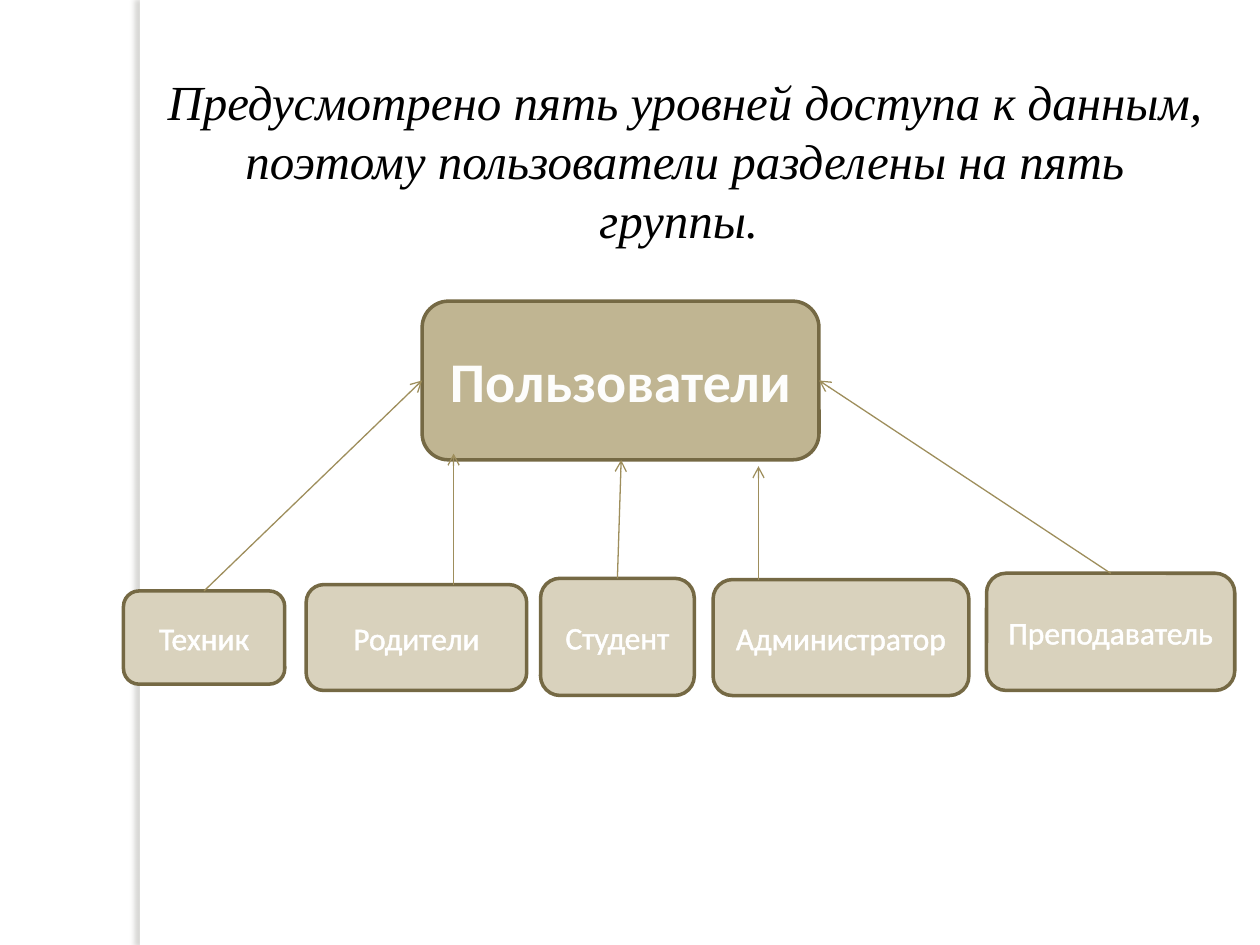
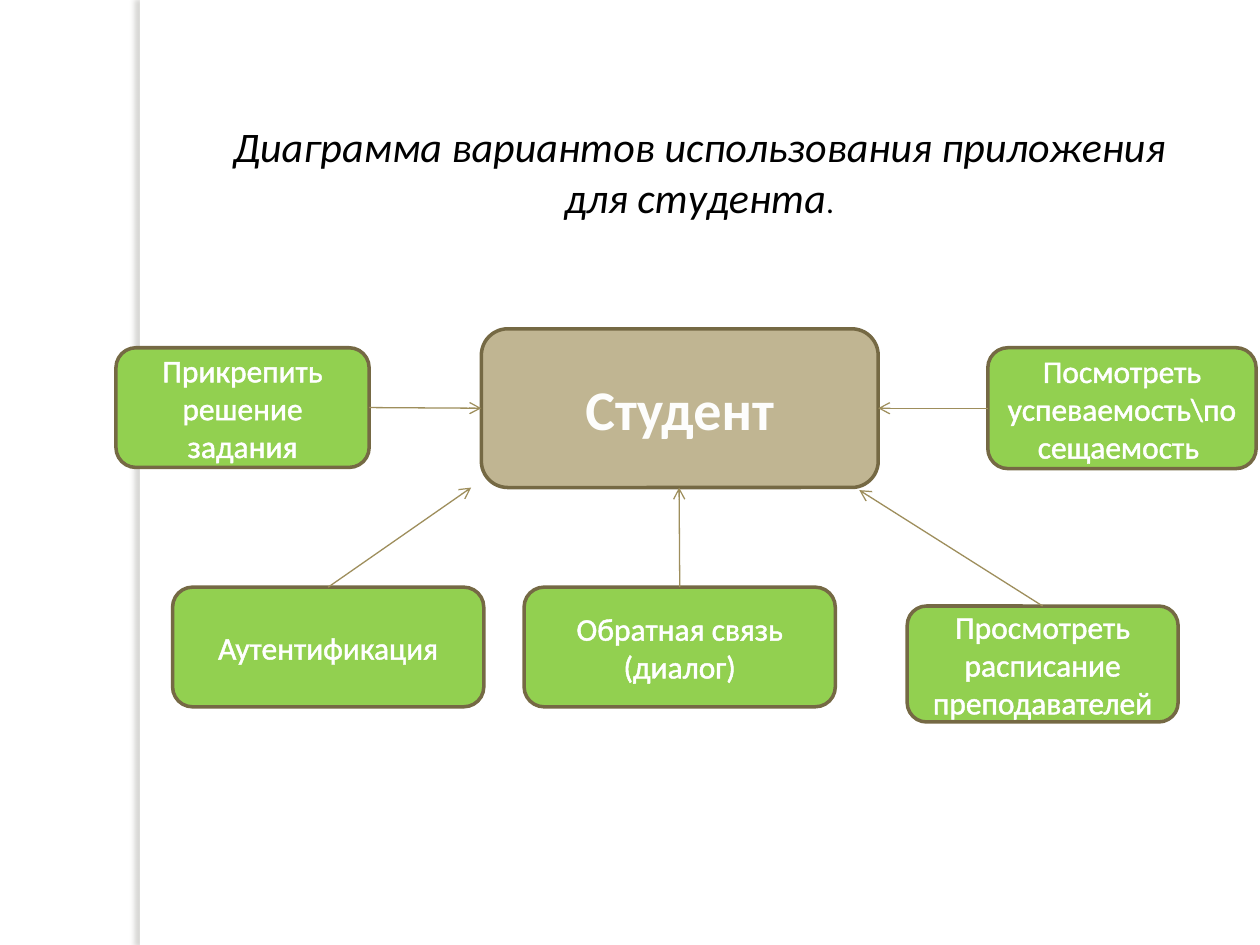
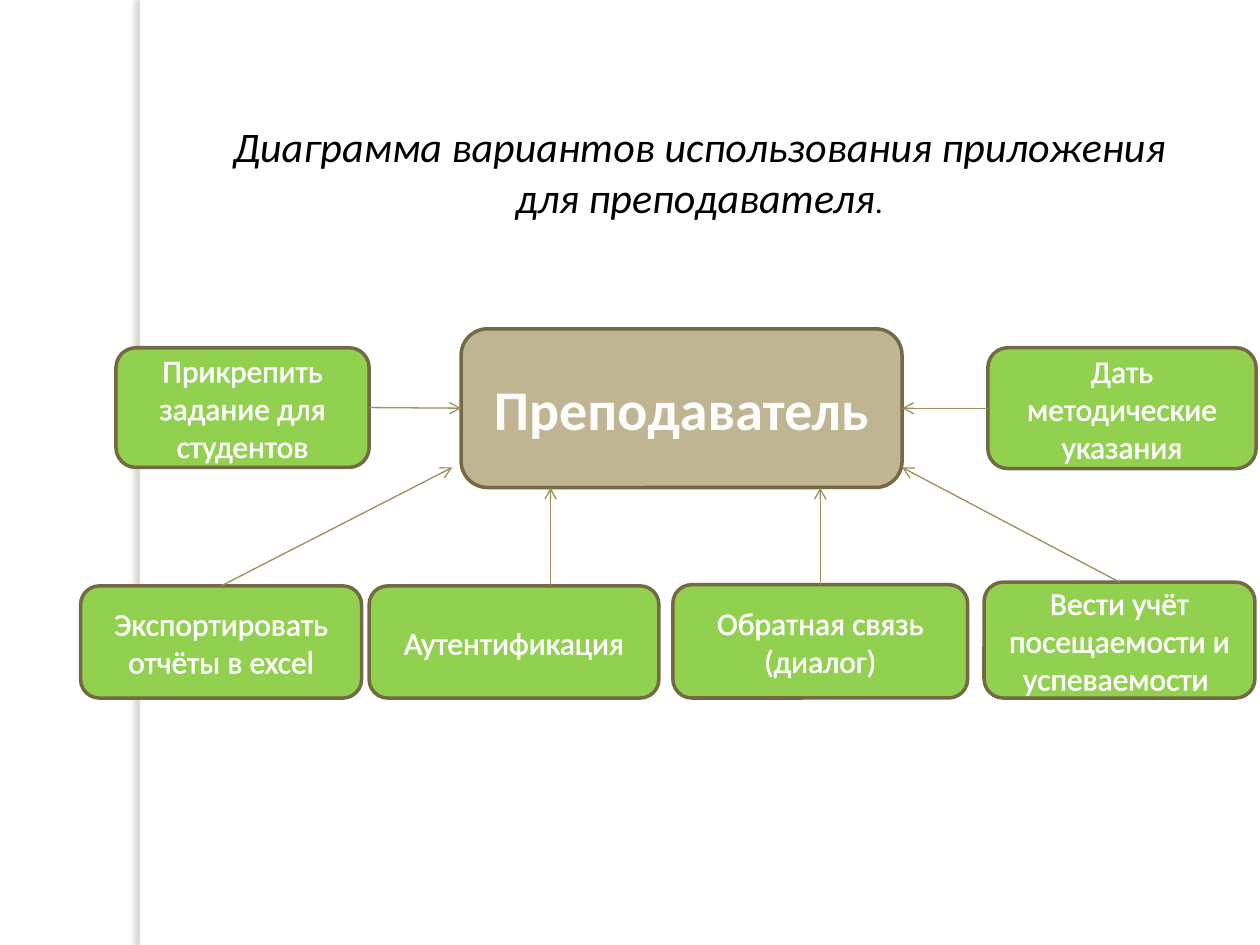
"""Builds three slides on the user groups of a learning system and their use cases."""
from dataclasses import dataclass

from lxml.etree import SubElement
from pptx import Presentation
from pptx.dml.color import RGBColor
from pptx.enum.shapes import MSO_CONNECTOR, MSO_SHAPE, PP_PLACEHOLDER
from pptx.enum.text import MSO_ANCHOR, MSO_AUTO_SIZE, PP_ALIGN
from pptx.oxml.ns import qn
from pptx.util import Emu, Pt

EMU_PER_PX = 9144
COLORS = {
    "white": "FFFFFF",
    "black": "000000",
    "hub": "C0B592",
    "hub_text": "FDFDFC",
    "hub_outline": "BC9D3E",
    "group": "D9D2BD",
    "action": "92D050",
    "border": "756944",
    "arrow": "9E8E5C",
    "shadow": "68665B",
}
SITES = {"top": 0, "left": 1, "right": 3}


@dataclass
class Node:
    """A satellite box and the tip of its arrow; shift moves the arrow off centre."""
    text: str
    place: tuple
    side: str
    tip: tuple
    shift: int = 0


GROUPS = [
    Node("Студент", (429, 459, 122, 93), "top", (493, 365)),
    Node("Преподаватель", (783, 455, 197, 93), "top", (650, 302)),
    Node("Родители", (243, 464, 175, 84), "top", (360, 360), 30),
    Node("Администратор", (566, 460, 203, 92), "top", (602, 370), -65),
    Node("Техник", (98, 469, 128, 74), "top", (335, 302)),
]
STUDENT_ACTIONS = [
    Node("Аутентификация", (137, 466, 247, 95), "top", (374, 387)),
    Node("Посмотреть успеваемость\\посещаемость ", (784, 276, 213, 96), "left", (697, 324)),
    Node("Просмотреть расписание преподавателей", (720, 481, 215, 92), "top", (682, 389)),
    Node("Прикрепить решение задания", (92, 276, 201, 95), "right", (382, 324)),
    Node("Обратная связь (диалог)", (416, 466, 247, 95), "top", (539, 387)),
]
TEACHER_ACTIONS = [
    Node("Аутентификация", (293, 465, 230, 89), "top", (437, 387), 29),
    Node("Дать методические указания", (784, 276, 213, 96), "left", (716, 324)),
    Node("Вести учёт посещаемости и успеваемости ", (781, 462, 215, 92), "top", (716, 371)),
    Node("Прикрепить задание для студентов", (92, 276, 201, 95), "right", (366, 324)),
    Node("Обратная связь (диалог)", (534, 464, 234, 90), "top", (651, 387)),
    Node("Экспортировать отчёты в excel", (64, 465, 223, 89), "top", (359, 371)),
]


def px(*lengths):
    """Turns px into a list of EMU lengths."""
    return [Emu(length * EMU_PER_PX) for length in lengths]


def color(name):
    """Looks up a colour of the deck."""
    return RGBColor.from_string(COLORS[name])


def format_span(span, size, color_name, font="Calibri", bold=False, italic=False):
    """Sets the font of one run."""
    span.font.name = font
    span.font.size = Pt(size)
    span.font.bold = bold
    span.font.italic = italic
    span.font.color.rgb = color(color_name)


def add_color(parent, name, alpha):
    """Adds a colour with an opacity in percent to an XML element."""
    value = SubElement(parent, qn("a:srgbClr"), val=COLORS[name])
    SubElement(value, qn("a:alpha"), val=str(alpha * 1000))


def outline_span(span, color_name, width, alpha=100):
    """Draws a line around the letters of a run."""
    properties = span.font._element
    line = SubElement(properties, qn("a:ln"), w=str(Pt(width)))
    add_color(SubElement(line, qn("a:solidFill")), color_name, alpha)
    properties.insert(0, line)


def clear_footers(layout):
    """Leaves only the title on the layout."""
    for holder in list(layout.placeholders):
        if holder.placeholder_format.type != PP_PLACEHOLDER.TITLE:
            holder.element.getparent().remove(holder.element)


def add_band(slide, layout):
    """Puts the shaded vertical edge on the layout, behind everything."""
    band = slide.shapes.add_shape(MSO_SHAPE.RECTANGLE, *px(111, 0, 8, 750))
    band.fill.solid()
    band.fill.fore_color.rgb = color("white")
    band.line.fill.background()
    band.shadow.inherit = False
    effects = band.element.spPr.find(qn("a:effectLst"))
    shadow = SubElement(effects, qn("a:outerShdw"), blurRad=str(Pt(3)),
                        dist=str(Pt(3)), dir="10800000", rotWithShape="0")
    add_color(shadow, "shadow", 25)
    layout.shapes.element.insert(2, band.element)


def set_title(slide, text, place, size, font="Calibri", ending=""):
    """Moves and formats the title; the ending is small and upright."""
    title = slide.shapes.title
    title.left, title.top, title.width, title.height = px(*place)
    frame = title.text_frame
    frame.text = text
    frame.word_wrap = True
    frame.auto_size = MSO_AUTO_SIZE.SHAPE_TO_FIT_TEXT
    frame.vertical_anchor = MSO_ANCHOR.TOP
    para = frame.paragraphs[0]
    para.alignment = PP_ALIGN.CENTER
    format_span(para.runs[0], size, "black", font, italic=True)
    if ending:
        span = para.add_run()
        span.text = ending
        format_span(span, 18, "black", font)


def add_box(slide, text, place, fill):
    """Adds a rounded box with centred text and returns it with its run."""
    box = slide.shapes.add_shape(MSO_SHAPE.ROUNDED_RECTANGLE, *px(*place))
    box.shadow.inherit = False
    box.fill.solid()
    box.fill.fore_color.rgb = color(fill)
    box.line.color.rgb = color("border")
    box.line.width = Pt(2)
    frame = box.text_frame
    frame.text = text
    frame.word_wrap = True
    frame.vertical_anchor = MSO_ANCHOR.MIDDLE
    para = frame.paragraphs[0]
    para.alignment = PP_ALIGN.CENTER
    return box, para.runs[0]


def add_hub(slide, text, place):
    """Adds the central box."""
    span = add_box(slide, text, place, "hub")[1]
    format_span(span, 32, "hub_text", bold=True)
    outline_span(span, "hub_outline", 0.07, 55)


def add_arrow(slide, box, node):
    """Draws an arrow from one side of a box to the tip of its node."""
    left, top, width, height = node.place
    starts = {
        "top": (left + width // 2 + node.shift, top),
        "left": (left, top + height // 2),
        "right": (left + width, top + height // 2),
    }
    arrow = slide.shapes.add_connector(
        MSO_CONNECTOR.STRAIGHT, *px(*starts[node.side], *node.tip))
    if not node.shift:
        arrow.begin_connect(box, SITES[node.side])
    arrow.line.color.rgb = color("arrow")
    arrow.line.width = Pt(0.75)
    SubElement(arrow.line._get_or_add_ln(), qn("a:tailEnd"), type="arrow")
    SubElement(arrow.element.spPr, qn("a:effectLst"))


def add_nodes(slide, nodes, fill):
    """Adds the satellite boxes with their arrows."""
    for node in nodes:
        box, span = add_box(slide, node.text, node.place, fill)
        format_span(span, 18, "white")
        outline_span(span, "white", 1.45)
        add_arrow(slide, box, node)


def add_use_cases(slide, whom, hub, hub_place, actions):
    """Fills a use case slide for one kind of user."""
    set_title(slide, f"Диаграмма вариантов использования приложения для {whom}",
              (153, 91, 804, 91), 24, ending=".")
    add_hub(slide, hub, hub_place)
    add_nodes(slide, actions, "action")


def main():
    """Builds and saves the deck."""
    deck = Presentation()
    deck.slide_width, deck.slide_height = px(1000, 750)
    layout = deck.slide_layouts.get_by_name("Title Only")
    clear_footers(layout)
    groups, student, teacher = [deck.slides.add_slide(layout) for _ in range(3)]
    add_band(groups, layout)

    set_title(groups, "Предусмотрено пять уровней доступа к данным, "
              "поэтому пользователи разделены на пять группы. ",
              (122, 52, 843, 151), 28, "Times New Roman")
    add_hub(groups, "Пользователи", (335, 239, 315, 126))
    add_nodes(groups, GROUPS, "group")

    add_use_cases(student, "студента", "Студент", (382, 261, 315, 126), STUDENT_ACTIONS)
    add_use_cases(teacher, "преподавателя", "Преподаватель", (366, 261, 350, 126),
                  TEACHER_ACTIONS)
    deck.save("out.pptx")


if __name__ == "__main__":
    main()
